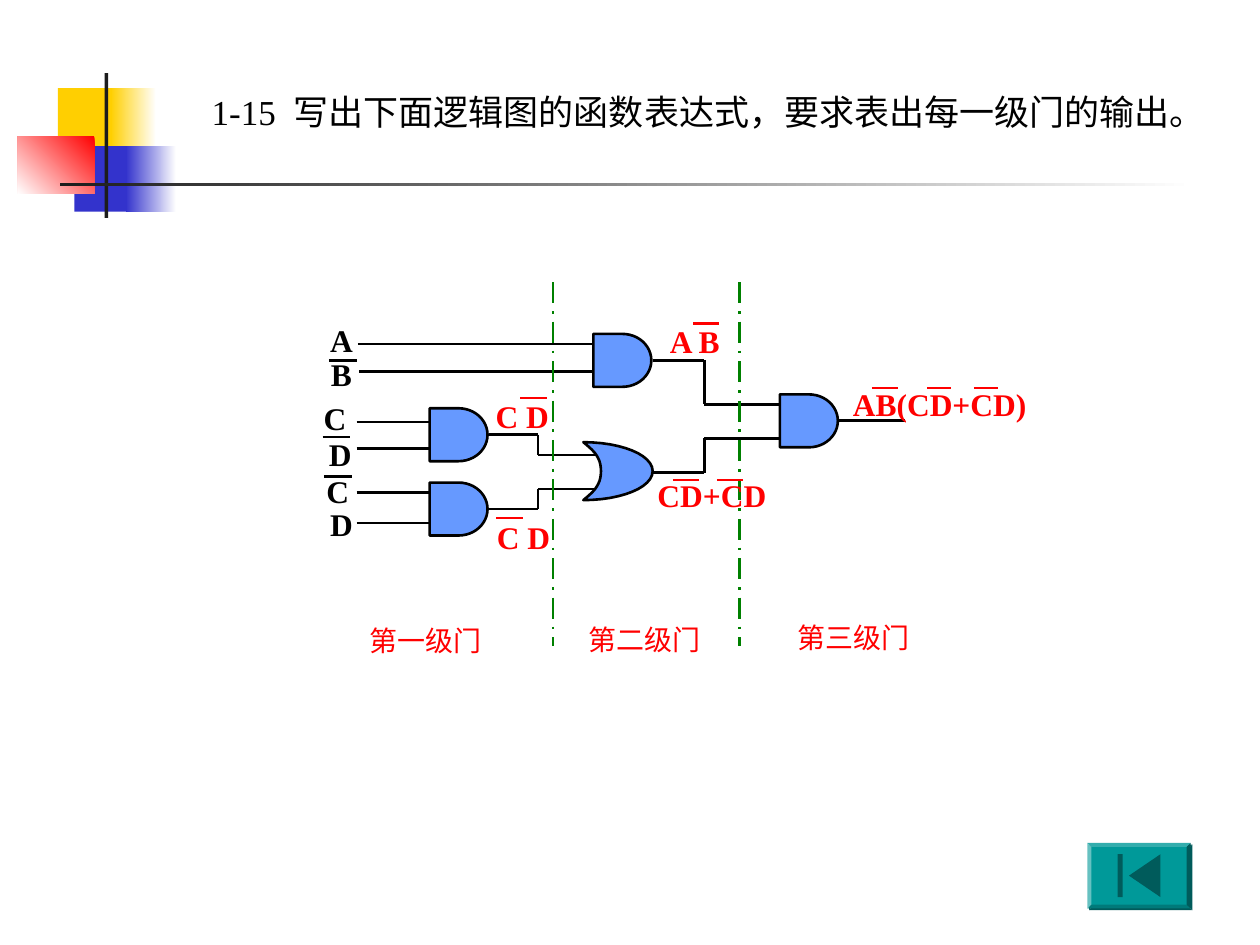
import pptx
import pptx.util
import pptx.dml.color
import pptx.enum.dml
import pptx.enum.shapes
import pptx.enum.text
import lxml.etree
from itertools import pairwise

Inches = pptx.util.Inches
SHAPES = pptx.enum.shapes.MSO_SHAPE
ALIGN = pptx.enum.text.PP_ALIGN
DASH = pptx.enum.dml.MSO_LINE.LONG_DASH_DOT
FONT = "Times New Roman"
COLOURS = {
    "yellow": "FFCF01", "blue": "3333CC", "red": "FF0000", "ink": "1C1C1C",
    "white": "FFFFFF", "black": "000000", "gate": "6699FF", "green": "008000",
    "button": "009999", "button_dark": "005B5B",
}

TITLE = "1-15  写出下面逻辑图的函数表达式，要求表出每一级门的输出。"

# left, top, width, height, gradient start, gradient end (None: solid), angle
ORNAMENTS = [
    (0.46, 0.7, 0.48, 0.52, "yellow", None, 0),
    (0.88, 0.7, 0.36, 0.52, "white", "yellow", 180),
    (0.59, 1.16, 0.46, 0.52, "blue", None, 0),
    (1, 1.16, 0.4, 0.52, "white", "blue", 180),
    (0.14, 1.08, 0.61, 0.46, "red", "white", 225),
    (0.83, 0.58, 0.03, 1.15, "ink", None, 0),
    (0.48, 1.45, 9, 0.03, "white", "ink", 180),
]

AND_GATES = [(3.41, 3.24), (3.41, 3.83), (4.71, 2.65), (6.19, 3.13)]
AND_SIZE = (0.46, 0.42)
# Bezier curves of the OR gate outline
OR_GATE = [
    [(4.63, 3.51), (4.7, 3.57), (4.77, 3.62), (4.77, 3.74)],
    [(4.77, 3.74), (4.77, 3.86), (4.7, 3.91), (4.63, 3.97)],
    [(4.63, 3.97), (4.93, 3.97), (5.18, 3.87), (5.18, 3.74)],
    [(5.18, 3.74), (5.18, 3.61), (4.93, 3.51), (4.63, 3.51)],
]
WIRES = [
    [(2.84, 2.73), (4.72, 2.73)],
    [(2.85, 2.95), (4.72, 2.95)],
    [(2.83, 3.35), (3.42, 3.35)],
    [(2.83, 3.56), (3.42, 3.56)],
    [(2.83, 3.91), (3.42, 3.91)],
    [(2.83, 4.15), (3.42, 4.15)],
    [(3.88, 3.45), (4.27, 3.45), (4.27, 3.61), (4.73, 3.61)],
    [(3.86, 4.04), (4.27, 4.04), (4.27, 3.88), (4.75, 3.88)],
    [(5.18, 2.86), (5.59, 2.86), (5.59, 3.21), (6.2, 3.21)],
    [(5.17, 3.75), (5.59, 3.75), (5.59, 3.48), (6.2, 3.48)],
    [(6.64, 3.34), (7.18, 3.34)],
]
STAGE_DIVIDERS = [4.39, 5.87]
DIVIDER_TOP, DIVIDER_BOTTOM = 2.24, 5.13

INPUTS = [("A", 2.41, 2.5), ("B", 2.41, 2.77), ("C", 2.36, 3.12),
          ("D", 2.4, 3.4), ("C", 2.38, 3.7), ("D", 2.41, 3.96)]
# text, left, top, width, alignment
OUTPUTS = [
    ("C D", 3.76, 3.1, 0.77, ALIGN.CENTER),
    ("C D", 3.77, 4.06, 0.77, ALIGN.CENTER),
    ("A B", 5.13, 2.51, 0.77, ALIGN.CENTER),
    ("CD+CD", 4.97, 3.73, 1.36, ALIGN.CENTER),
    ("AB(CD+CD)", 6.67, 3.01, 1.75, ALIGN.LEFT),
]
STAGES = [("第一级门", 2.62, 4.9), ("第二级门", 4.36, 4.89), ("第三级门", 6.02, 4.88)]
# left, height on the slide, length
NEGATIONS = {
    "black": [(2.61, 2.86, 0.22), (2.56, 3.47, 0.22), (2.57, 3.78, 0.22)],
    "red": [(4.13, 3.16, 0.21), (3.94, 4.11, 0.21), (5.5, 2.57, 0.21),
            (5.34, 3.81, 0.21), (5.69, 3.81, 0.21), (6.92, 3.08, 0.21),
            (7.36, 3.08, 0.19), (7.73, 3.08, 0.19)],
}

deck = pptx.Presentation()
deck.slide_width, deck.slide_height = Inches(10), Inches(7.5)
page = deck.slides.add_slide(deck.slide_layouts[5])


def rgb(name):
    return pptx.dml.color.RGBColor.from_string(COLOURS[name])


def paint(shape, fill, line=None):
    shape.shadow.inherit = False
    shape.fill.solid()
    shape.fill.fore_color.rgb = rgb(fill)
    if line:
        shape.line.color.rgb = rgb(line)
        shape.line.width = pptx.util.Pt(1.5)
    else:
        shape.line.fill.background()


def add_preset(kind, left, top, width, height, fill, line=None):
    shape = page.shapes.add_shape(kind, *map(Inches, (left, top, width, height)))
    paint(shape, fill, line)
    return shape


def add_outline(points, fill, line=None):
    points = [(Inches(x), Inches(y)) for x, y in points]
    builder = page.shapes.build_freeform(*points[0])
    builder.add_line_segments(points[1:], close=True)
    paint(builder.convert_to_shape(), fill, line)


def add_line(start, end, colour="black", dash=None):
    line = page.shapes.add_connector(
        pptx.enum.shapes.MSO_CONNECTOR.STRAIGHT, *map(Inches, (*start, *end)))
    line.line.color.rgb = rgb(colour)
    line.line.width = pptx.util.Pt(1.5)
    if dash:
        line.line.dash_style = dash
    add_effects(line)


def add_effects(shape):
    properties = shape._element.spPr
    return lxml.etree.SubElement(properties, pptx.oxml.ns.qn("a:effectLst"))


def write(box, text, size=18, colour="black", bold=False, align=ALIGN.CENTER):
    frame = box.text_frame
    frame.word_wrap = True
    frame.vertical_anchor = pptx.enum.text.MSO_ANCHOR.TOP
    frame.text = text
    para = frame.paragraphs[0]
    para.alignment = align
    font = para.runs[0].font
    font.name, font.size, font.bold = FONT, pptx.util.Pt(size), bold
    font.color.rgb = rgb(colour)


def add_text(text, left, top, width, height=0.4, **style):
    box = page.shapes.add_textbox(*map(Inches, (left, top, width, height)))
    write(box, text, **style)


def curve_point(curve, t):
    weights = ((1 - t) ** 3, 3 * t * (1 - t) ** 2, 3 * t * t * (1 - t), t ** 3)
    return tuple(sum(w * point[axis] for w, point in zip(weights, curve))
                 for axis in (0, 1))


for left, top, width, height, start, end, angle in ORNAMENTS:
    ornament = add_preset(SHAPES.RECTANGLE, left, top, width, height, start)
    if end:
        ornament.fill.gradient()
        ornament.fill.gradient_angle = angle
        for stop, colour in zip(ornament.fill.gradient_stops, (start, end)):
            stop.color.rgb = rgb(colour)

title = page.shapes.title
title.left, title.top, title.width, title.height = map(Inches, (1.58, 0.67, 8.17, 0.44))
write(title, TITLE, size=20, align=ALIGN.LEFT)

for wire in WIRES:
    for start, end in pairwise(wire):
        add_line(start, end)
for left, top in AND_GATES:
    add_preset(SHAPES.FLOWCHART_DELAY, left, top, *AND_SIZE, "gate", "black")
add_outline([curve_point(curve, step / 12) for curve in OR_GATE for step in range(12)],
            "gate", "black")

for x in STAGE_DIVIDERS:
    add_line((x, DIVIDER_TOP), (x, DIVIDER_BOTTOM), "green", DASH)
for text, left, top in INPUTS:
    add_text(text, left, top, 0.6, bold=True)
for text, left, top, width, align in OUTPUTS:
    add_text(text, left, top, width, colour="red", bold=True, align=align)
for text, left, top in STAGES:
    add_text(text, left, top, 1.51, 0.37, size=16, colour="red")
for colour, bars in NEGATIONS.items():
    for left, y, length in bars:
        add_line((left, y), (left + length, y), colour)

button = add_preset(SHAPES.BEVEL, 8.63, 6.69, 0.82, 0.52, "button")
button.adjustments[0] = 0.06
effects = button._element.spPr.find(pptx.oxml.ns.qn("a:effectLst"))
shadow = lxml.etree.SubElement(effects, pptx.oxml.ns.qn("a:outerShdw"),
                               dist=str(pptx.util.Pt(1.4)), dir="2700000")
lxml.etree.SubElement(shadow, pptx.oxml.ns.qn("a:srgbClr"), val=COLOURS["button_dark"])
add_preset(SHAPES.RECTANGLE, 8.87, 6.78, 0.04, 0.34, "button_dark")
add_outline([(8.96, 6.95), (9.21, 6.78), (9.21, 7.12)], "button_dark")

deck.save("out.pptx")
